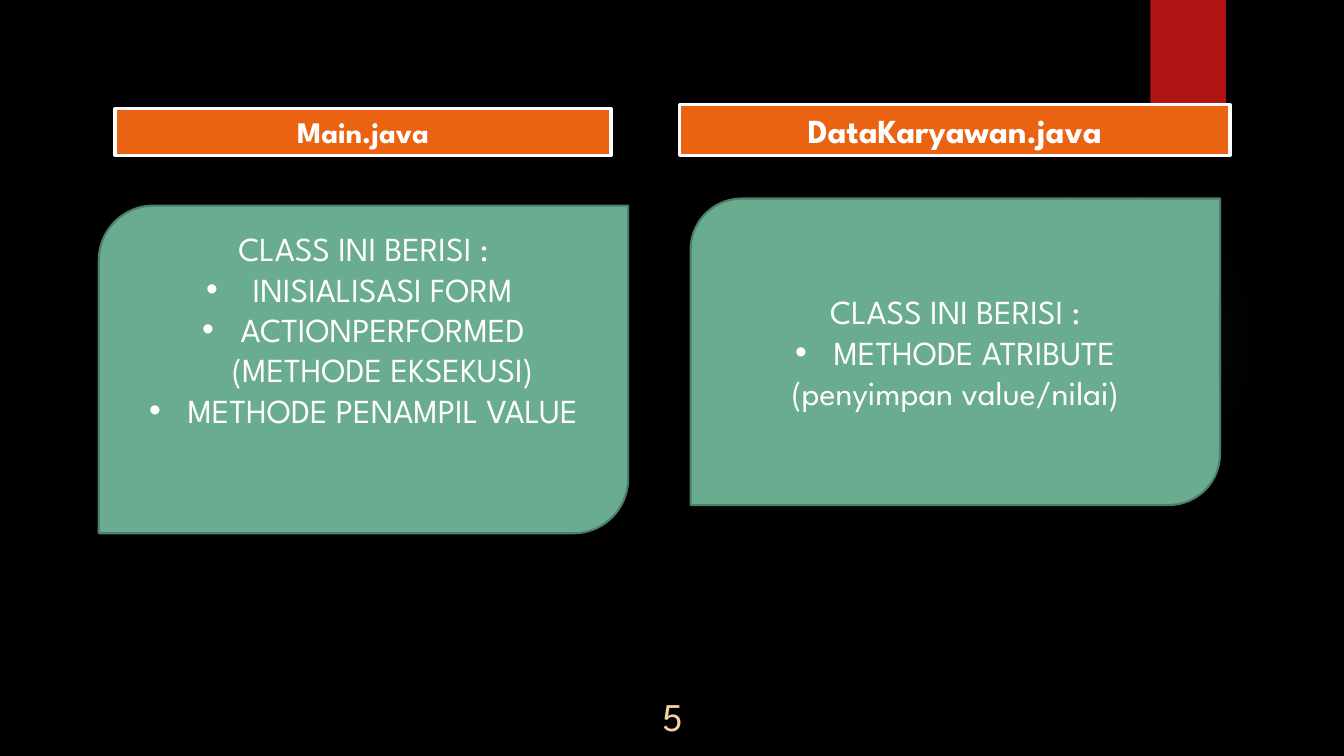
"""Build a slide that compares the contents of two Java classes."""
from dataclasses import dataclass

from lxml.etree import SubElement
from pptx import Presentation
from pptx.dml.color import RGBColor as Rgb
from pptx.enum.shapes import MSO_SHAPE as Preset
from pptx.enum.text import MSO_ANCHOR as Anchor, MSO_AUTO_SIZE as AutoSize, PP_ALIGN as Align
from pptx.oxml.ns import qn
from pptx.util import Inches, Pt


@dataclass(frozen=True)
class Theme:
    font: str = "League Spartan"
    background: str = "000000"
    glow: str = "50B9C1"
    ribbon: str = "B01513"
    header: str = "EA6312"
    header_line: str = "FFFFFF"
    card: str = "6AAC90"
    card_line: str = "4E7F6B"
    text: str = "FFFFFF"
    number: str = "F6D2A2"
    small_header_size: float = 21.3
    text_size: float = 24
    number_size: float = 28
    header_line_width: float = 2.25
    card_line_width: float = 1.5


@dataclass(frozen=True)
class Box:
    left: float
    top: float
    width: float
    height: float

    def lengths(self):
        return [Inches(v) for v in (self.left, self.top, self.width, self.height)]


@dataclass(frozen=True)
class Line:
    text: str
    bullet: bool = False
    indented: bool = False


@dataclass(frozen=True)
class JavaClass:
    file_name: str
    header_box: Box
    header_size: float
    card_box: Box
    contents: tuple[Line, ...]
    bottom_inset: float = 0.05


THEME = Theme()
HANGING = Inches(0.38)
CLASSES = (
    JavaClass("Main.java", Box(1.14, 1.08, 4.92, 0.46), THEME.small_header_size,
              Box(0.98, 2.04, 5.25, 3.25),
              (Line("CLASS INI BERISI :"),
               Line(" INISIALISASI FORM ", bullet=True),
               Line("ACTIONPERFORMED", bullet=True),
               Line("(METHODE EKSEKUSI)", indented=True),
               Line("METHODE PENAMPIL VALUE", bullet=True)),
              bottom_inset=0.85),
    JavaClass("DataKaryawan.java", Box(6.74, 1.04, 5.46, 0.5), THEME.text_size,
              Box(6.85, 1.97, 5.25, 3.04),
              (Line("CLASS INI BERISI :"),
               Line("METHODE ATRIBUTE", bullet=True),
               Line("(penyimpan value/nilai)"))),
)


def write(frame, lines: tuple[Line, ...], *, size: float, color: str = THEME.text,
          bold: bool = False, anchor=Anchor.MIDDLE) -> None:
    frame.word_wrap = True
    frame.vertical_anchor = anchor
    for index, line in enumerate(lines):
        paragraph = frame.paragraphs[0] if index == 0 else frame.add_paragraph()
        paragraph.alignment = Align.CENTER
        run = paragraph.add_run()
        run.text = line.text
        run.font.name = THEME.font
        run.font.size = Pt(size)
        run.font.bold = bold
        run.font.color.rgb = Rgb.from_string(color)
        if line.bullet or line.indented:
            properties = paragraph._p.get_or_add_pPr()
            properties.set("marL", str(HANGING))
        if line.bullet:
            properties.set("indent", str(-HANGING))
            SubElement(properties, qn("a:buFont"), typeface="Arial")
            SubElement(properties, qn("a:buChar"), char="•")


def add_panel(slide, preset, box: Box, fill: str, line: str = "", width: float = 0):
    panel = slide.shapes.add_shape(preset, *box.lengths())
    panel.shadow.inherit = False
    panel.fill.solid()
    panel.fill.fore_color.rgb = Rgb.from_string(fill)
    if line:
        panel.line.color.rgb = Rgb.from_string(line)
        panel.line.width = Pt(width)
    else:
        panel.line.fill.background()
    return panel


def add_glow(slide, box: Box) -> None:
    glow = add_panel(slide, Preset.OVAL, box, THEME.glow)
    solid = glow._element.spPr.find(qn("a:solidFill"))
    gradient = solid.makeelement(qn("a:gradFill"), {"rotWithShape": "1"})
    stops = SubElement(gradient, qn("a:gsLst"))
    for position, alpha in ((0, 7), (36, 6), (69, 0)):
        stop = SubElement(stops, qn("a:gs"), pos=str(position * 1000))
        color = SubElement(stop, qn("a:srgbClr"), val=THEME.glow)
        SubElement(color, qn("a:alpha"), val=str(alpha * 1000))
    circle = SubElement(gradient, qn("a:path"), {"path": "circle"})
    SubElement(circle, qn("a:fillToRect"), dict.fromkeys("ltrb", "50000"))
    solid.getparent().replace(solid, gradient)


def add_class(slide, java_class: JavaClass) -> None:
    header = add_panel(slide, Preset.RECTANGLE, java_class.header_box, THEME.header,
                       THEME.header_line, THEME.header_line_width)
    write(header.text_frame, (Line(java_class.file_name),), size=java_class.header_size,
          bold=True, anchor=Anchor.TOP)
    header.text_frame.auto_size = AutoSize.SHAPE_TO_FIT_TEXT
    card = add_panel(slide, Preset.ROUND_2_DIAG_RECTANGLE, java_class.card_box, THEME.card,
                     THEME.card_line, THEME.card_line_width)
    card.text_frame.margin_bottom = Inches(java_class.bottom_inset)
    write(card.text_frame, java_class.contents, size=THEME.text_size)


def add_page_number(slide, number: str, box: Box) -> None:
    frame = slide.shapes.add_textbox(*box.lengths()).text_frame
    frame.margin_left = frame.margin_top = frame.margin_right = frame.margin_bottom = 0
    write(frame, (Line(number),), size=THEME.number_size, color=THEME.number)


def main() -> None:
    deck = Presentation()
    deck.slide_width, deck.slide_height = Inches(13.33), Inches(7.5)
    slide = deck.slides.add_slide(deck.slide_layouts[6])
    slide.background.fill.solid()
    slide.background.fill.fore_color.rgb = Rgb.from_string(THEME.background)
    add_glow(slide, Box(9.41, 1.83, 3.08, 3.08))
    add_panel(slide, Preset.RECTANGLE, Box(11.41, 0, 0.75, 1.25), THEME.ribbon)
    add_page_number(slide, "5", Box(6.27, 6.7, 0.8, 0.8))
    for java_class in CLASSES:
        add_class(slide, java_class)
    deck.save("out.pptx")


if __name__ == "__main__":
    main()
